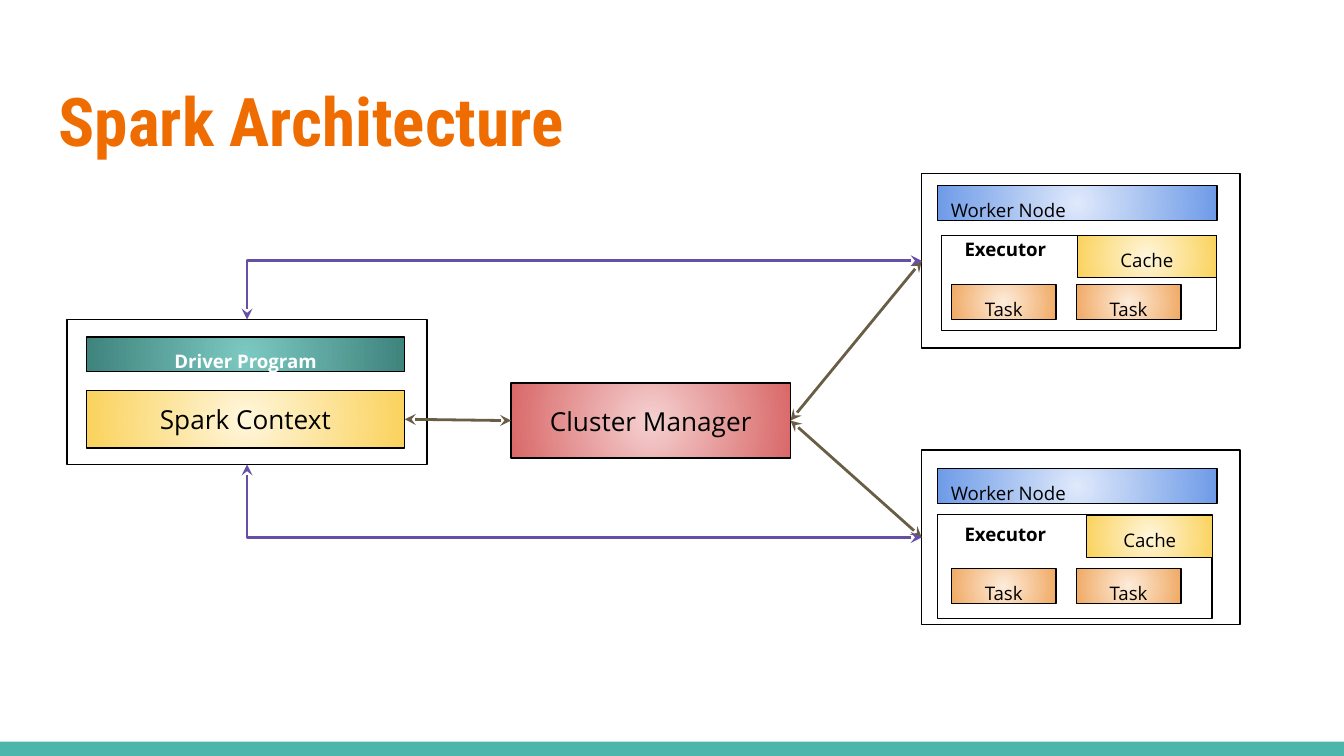
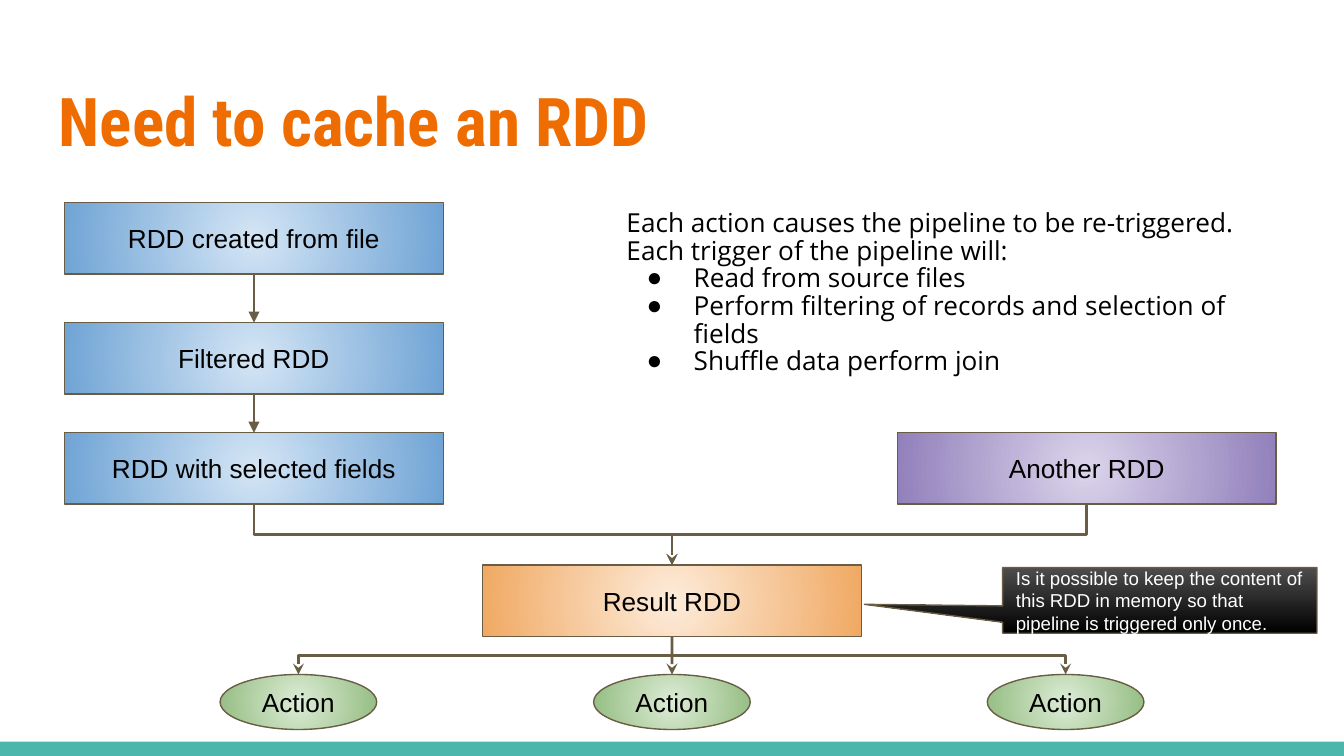
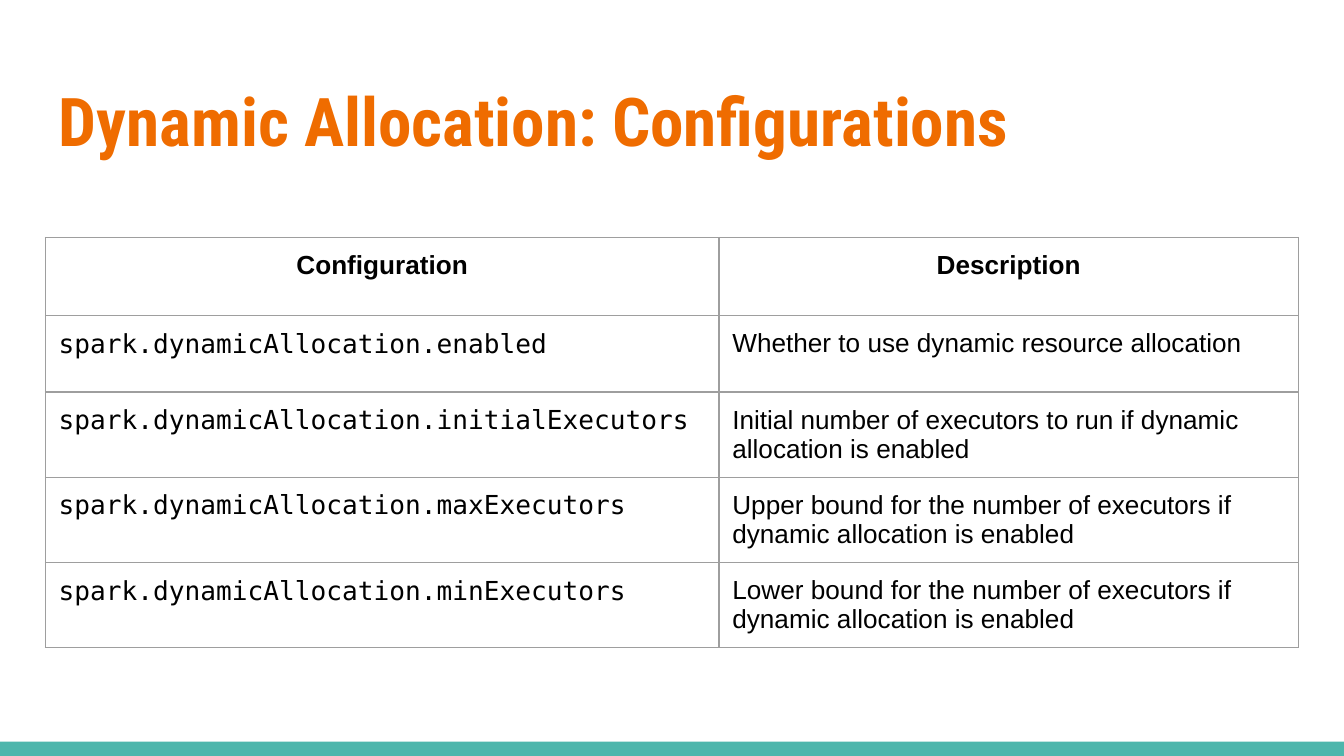
from lxml import etree
from pptx import Presentation
from pptx.dml.color import RGBColor
from pptx.enum.shapes import MSO_CONNECTOR, MSO_SHAPE
from pptx.enum.text import MSO_ANCHOR, MSO_AUTO_SIZE, PP_ALIGN
from pptx.oxml import parse_xml
from pptx.oxml.ns import nsdecls, qn
from pptx.util import Cm, Pt

COLORS = {
    "band": "4DB6AC", "title": "EF6C00", "black": "000000", "white": "FFFFFF",
    "brown": "695D46", "purple": "674EA7", "grid": "9E9E9E",
}
# Centre and edge colour of each gradient
GRADIENTS = {
    "teal": ("7CC9C2", "3F837D"), "yellow": ("FFF6DB", "FAD25C"),
    "red": ("F5D0D0", "D96868"), "blue": ("DFE9FB", "6E9BE7"),
    "orange": ("FDECDB", "F0A963"), "sky": ("D4E5F5", "70A4D5"),
    "violet": ("DBD4EB", "9180BB"), "green": ("DCECD5", "93BC81"),
    "dark": ("4D4D4D", "000000"),
}
SLIDE_W, SLIDE_H = 25.4, 14.29
INSET = Cm(0.25)
FRAME = {
    "word_wrap": True, "auto_size": MSO_AUTO_SIZE.NONE,
    "margin_left": INSET, "margin_right": INSET,
    "margin_top": INSET, "margin_bottom": INSET,
}
TOP, LEFT, BOTTOM, RIGHT = range(4)


def color(name):
    return RGBColor.from_string(COLORS[name])


def assign(target, values):
    for name, value in values.items():
        setattr(target, name, value)


def cm_box(box):
    return [Cm(length) for length in box]


def write(paragraph, text, size, font, ink="black", bold=False):
    run = paragraph.add_run()
    run.text = text
    assign(run.font, {"size": Pt(size), "name": font, "bold": bold})
    run.font.color.rgb = color(ink)


def fill_frame(shape, text, anchor=MSO_ANCHOR.TOP, align=PP_ALIGN.LEFT, **style):
    assign(shape.text_frame, {**FRAME, "vertical_anchor": anchor})
    paragraph = shape.text_frame.paragraphs[0]
    paragraph.alignment = align
    write(paragraph, text, **style)


def paint(shape, gradient, linear=False):
    shape.fill.gradient()
    for stop, value in zip(shape.fill.gradient_stops, GRADIENTS[gradient]):
        stop.color.rgb = RGBColor.from_string(value)
    if linear:
        shape.fill.gradient_angle = 270
        return
    lin = shape.element.spPr.find(".//" + qn("a:lin"))
    lin.getparent().replace(lin, parse_xml(
        f'<a:path {nsdecls("a")} path="circle">'
        '<a:fillToRect l="50000" t="50000" r="50000" b="50000"/></a:path>'))


def add_block(slide, box, gradient=None, outline="black",
              kind=MSO_SHAPE.RECTANGLE, linear=False):
    block = slide.shapes.add_shape(kind, *cm_box(box))
    block.shadow.inherit = False
    if gradient:
        paint(block, gradient, linear)
    else:
        block.fill.background()
    block.line.color.rgb = color(outline)
    block.line.width = Pt(0.75)
    return block


def style_line(connector, ink, head=None, tail=None):
    connector.line.color.rgb = color(ink)
    connector.line.width = Pt(1.5)
    line = connector.line._get_or_add_ln()
    for tag, arrow in (("a:headEnd", head), ("a:tailEnd", tail)):
        if arrow:
            etree.SubElement(line, qn(tag), type=arrow)
    etree.SubElement(connector.element.spPr, qn("a:effectLst"))


def link(slide, start, start_side, end, end_side, **arrows):
    connector = slide.shapes.add_connector(MSO_CONNECTOR.STRAIGHT, 0, 0, 0, 0)
    connector.begin_connect(start, start_side)
    connector.end_connect(end, end_side)
    style_line(connector, "brown", **arrows)


def side_point(shape, side):
    across = {LEFT: 0, RIGHT: shape.width}.get(side, shape.width // 2)
    down = {TOP: 0, BOTTOM: shape.height}.get(side, shape.height // 2)
    return shape.left + across, shape.top + down


def bend(slide, start, end, ink, preset="bentConnector3", **arrows):
    """Elbow that leaves its start vertically: a turned horizontal elbow."""
    (x1, y1), (x2, y2) = start, end
    width, height = abs(y2 - y1), abs(x2 - x1)
    connector = slide.shapes.add_connector(MSO_CONNECTOR.ELBOW, 0, 0, 0, 0)
    assign(connector, {
        "left": (x1 + x2 - width) // 2, "top": (y1 + y2 - height) // 2,
        "width": width, "height": height,
    })
    frame = connector.element.spPr.find(qn("a:xfrm"))
    to_right = x2 > x1
    frame.set("rot", str((270 if to_right else 90) * 60000))
    if to_right and y2 > y1:
        frame.set("flipH", "1")
    connector.element.spPr.find(qn("a:prstGeom")).set("prst", preset)
    style_line(connector, ink, **arrows)


def add_slide(prs, layout, title):
    slide = prs.slides.add_slide(prs.slide_layouts[layout])
    heading = slide.shapes.title
    assign(heading, dict(zip(("left", "top", "width", "height"),
                             cm_box((0.86, 1.24, 23.67, 1.96)))))
    fill_frame(heading, title, size=36, font="Roboto Condensed", ink="title", bold=True)
    return slide


def add_master_band(prs, slide):
    """Puts the bottom band on the master, so every slide shows it."""
    band = slide.shapes.add_shape(
        MSO_SHAPE.RECTANGLE, *cm_box((0, 14.02, SLIDE_W, SLIDE_H - 14.02)))
    band.shadow.inherit = False
    band.fill.solid()
    band.fill.fore_color.rgb = color("band")
    band.line.fill.background()
    band.element.nvSpPr.cNvPr.set("id", "20")
    prs.slide_master.shapes.element.append(band.element)


# Slide 1: architecture
def add_driver(slide, box):
    x, y, _, _ = box
    driver = add_block(slide, box)
    program = add_block(slide, (x + 0.36, y + 0.33, 6.02, 0.66), "teal")
    fill_frame(program, "Driver Program", align=PP_ALIGN.CENTER,
               size=10, font="Open Sans", ink="white", bold=True)
    context = add_block(slide, (x + 0.36, y + 1.34, 6.02, 1.09), "yellow")
    fill_frame(context, "Spark Context", align=PP_ALIGN.CENTER, size=14, font="Open Sans")
    return driver, context


def add_worker(slide, box, header_y, executor, label, cache, task_y):
    x, y, _, _ = box
    small = {"size": 10, "font": "Open Sans"}

    def inside(part):
        return x + part[0], y + part[1], *part[2:]

    worker = add_block(slide, box)
    header = add_block(slide, inside((0.3, header_y, 5.28, 0.66)), "blue")
    fill_frame(header, "Worker Node", **small)
    add_block(slide, inside(executor))
    for task_x in (0.56, 2.92):
        task = add_block(slide, inside((task_x, task_y, 1.98, 0.66)), "orange")
        fill_frame(task, "Task", align=PP_ALIGN.CENTER, **small)
    executor_label = slide.shapes.add_textbox(*cm_box(inside(label)))
    fill_frame(executor_label, "Executor", bold=True, **small)
    store = add_block(slide, inside(cache), "yellow")
    fill_frame(store, "Cache", align=PP_ALIGN.CENTER, **small)
    return worker


def build_architecture(slide):
    driver, context = add_driver(slide, (1.27, 6.04, 6.8, 2.74))
    manager = add_block(slide, (9.66, 7.24, 5.28, 1.42), "red")
    fill_frame(manager, "Cluster Manager", MSO_ANCHOR.MIDDLE, PP_ALIGN.CENTER,
               size=14, font="Open Sans")
    upper = add_worker(
        slide, (17.42, 3.28, 6.02, 3.3), header_y=0.23, task_y=2.1,
        executor=(0.38, 1.17, 5.19, 1.8), label=(0.56, 1.02, 2.24, 0.38),
        cache=(2.94, 1.17, 2.63, 0.8))
    lower = add_worker(
        slide, (17.42, 8.51, 6.02, 3.3), header_y=0.35, task_y=2.24,
        executor=(0.3, 1.22, 5.19, 1.96), label=(0.56, 1.12, 2.24, 0.66),
        cache=(3.12, 1.23, 2.38, 0.8))
    both_ends = {"head": "stealth", "tail": "stealth"}
    link(slide, context, RIGHT, manager, LEFT, **both_ends)
    for worker, driver_side in ((upper, TOP), (lower, BOTTOM)):
        link(slide, manager, RIGHT, worker, LEFT, **both_ends)
        bend(slide, side_point(driver, driver_side), side_point(worker, LEFT),
             "purple", "bentConnector2", **both_ends)


# Slide 2: pipeline
def add_step(slide, box, text, gradient, kind=MSO_SHAPE.RECTANGLE):
    step = add_block(slide, box, gradient, "brown", kind)
    fill_frame(step, text, MSO_ANCHOR.MIDDLE, PP_ALIGN.CENTER, size=14, font="Arial")
    return step


def add_reasons(slide, box):
    reasons = slide.placeholders[1]
    assign(reasons, dict(zip(("left", "top", "width", "height"), cm_box(box))))
    frame = reasons.text_frame
    assign(frame, {**FRAME, "vertical_anchor": MSO_ANCHOR.TOP})
    lines = (
        ("Each action causes the pipeline to be re-triggered.", False),
        ("Each trigger of the pipeline will:", False),
        ("Read from source files", True),
        ("Perform filtering of records and selection of fields", True),
        ("Shuffle data perform join", True),
    )
    for index, (text, bulleted) in enumerate(lines):
        paragraph = frame.add_paragraph() if index else frame.paragraphs[0]
        properties = paragraph._p.get_or_add_pPr()
        properties.set("marL", str(Cm(1.27) if bulleted else 0))
        properties.set("indent", str(Cm(-0.89) if bulleted else 0))
        if bulleted:
            ink = etree.SubElement(properties, qn("a:buClr"))
            etree.SubElement(ink, qn("a:srgbClr"), val=COLORS["black"])
            etree.SubElement(properties, qn("a:buChar"), char="●")
        else:
            etree.SubElement(properties, qn("a:buNone"))
        assign(paragraph, {"space_before": Pt(0), "line_spacing": 0.88})
        write(paragraph, text, 14, "Open Sans")


def add_question(slide, box):
    question = add_block(slide, box, "dark", "brown",
                         MSO_SHAPE.RECTANGULAR_CALLOUT, linear=True)
    question.adjustments[0], question.adjustments[1] = -0.94, 0.06
    fill_frame(question, "Is it possible to keep the content of this RDD in memory "
               "so that pipeline is triggered only once.",
               MSO_ANCHOR.MIDDLE, size=10, font="Arial", ink="white")


def build_pipeline(slide):
    step_w, step_h = 7.16, 1.35
    source, filtered, selected = [
        add_step(slide, (1.22, y, step_w, step_h), text, "sky")
        for y, text in ((3.83, "RDD created from file"), (6.1, "Filtered RDD"),
                        (8.18, "RDD with selected fields"))]
    result = add_step(slide, ((SLIDE_W - step_w) / 2, 10.68, step_w, step_h),
                      "Result RDD", "orange")
    another = add_step(slide, (16.96, 8.18, step_w, step_h), "Another RDD", "violet")
    actions = [add_step(slide, (x, 12.75, 2.96, 1.04), "Action", "green", MSO_SHAPE.OVAL)
               for x in (4.16, 11.22, 18.66)]

    # Arrows
    link(slide, source, BOTTOM, filtered, TOP, tail="triangle")
    link(slide, filtered, BOTTOM, selected, TOP, tail="triangle")
    left_action, middle_action, right_action = actions
    for start, end in ((selected, result), (another, result),
                       (result, left_action), (result, right_action)):
        bend(slide, side_point(start, BOTTOM), side_point(end, TOP),
             "brown", tail="stealth")
    link(slide, result, BOTTOM, middle_action, TOP, tail="stealth")

    add_reasons(slide, (11.59, 3.73, 12.55, 3.89))
    add_question(slide, (18.95, 10.73, 5.94, 1.24))


# Slide 3: configuration table
def style_cell(cell, text, **style):
    cell.fill.background()
    assign(cell, {name: INSET for name in FRAME if name.startswith("margin")})
    properties = cell._tc.get_or_add_tcPr()
    for index, edge in enumerate(("a:lnL", "a:lnR", "a:lnT", "a:lnB")):
        properties.insert(index, parse_xml(
            f'<{edge} {nsdecls("a")} w="{Pt(0.75)}"><a:solidFill>'
            f'<a:srgbClr val="{COLORS["grid"]}"/></a:solidFill></{edge}>'))
    write(cell.text_frame.paragraphs[0], text, 14, **style)


def build_configurations(slide):
    header = ("Configuration", "Description")
    settings = (
        ("enabled", "Whether to use dynamic resource allocation"),
        ("initialExecutors",
         "Initial number of executors to run if dynamic allocation is enabled"),
        ("maxExecutors",
         "Upper bound for the number of executors if dynamic allocation is enabled"),
        ("minExecutors",
         "Lower bound for the number of executors if dynamic allocation is enabled"),
    )
    column_widths = (12.73, 10.95)
    table = slide.shapes.add_table(
        len(settings) + 1, 2,
        *cm_box((0.86, 4.49, sum(column_widths), 7.27))).table
    assign(table, {"first_row": False, "horz_banding": False})
    for column, width in zip(table.columns, column_widths):
        column.width = Cm(width)
    for index, row in enumerate(table.rows):
        row.height = Cm(1.44 if index else 1.48)
    for column, text in enumerate(header):
        style_cell(table.cell(0, column), text, font="Arial", bold=True)
        table.cell(0, column).text_frame.paragraphs[0].alignment = PP_ALIGN.CENTER
    for row, (key, description) in enumerate(settings, 1):
        style_cell(table.cell(row, 0), f"spark.dynamicAllocation.{key}",
                   font="DejaVu Sans Mono")
        style_cell(table.cell(row, 1), description, font="Arial")


def main():
    prs = Presentation()
    assign(prs, {"slide_width": Cm(SLIDE_W), "slide_height": Cm(SLIDE_H)})
    title_and_content, title_only = 1, 5
    architecture = add_slide(prs, title_only, "Spark Architecture")
    add_master_band(prs, architecture)
    build_architecture(architecture)
    build_pipeline(add_slide(prs, title_and_content, "Need to cache an RDD"))
    build_configurations(add_slide(prs, title_only, "Dynamic Allocation: Configurations"))
    prs.save("out.pptx")


if __name__ == "__main__":
    main()
